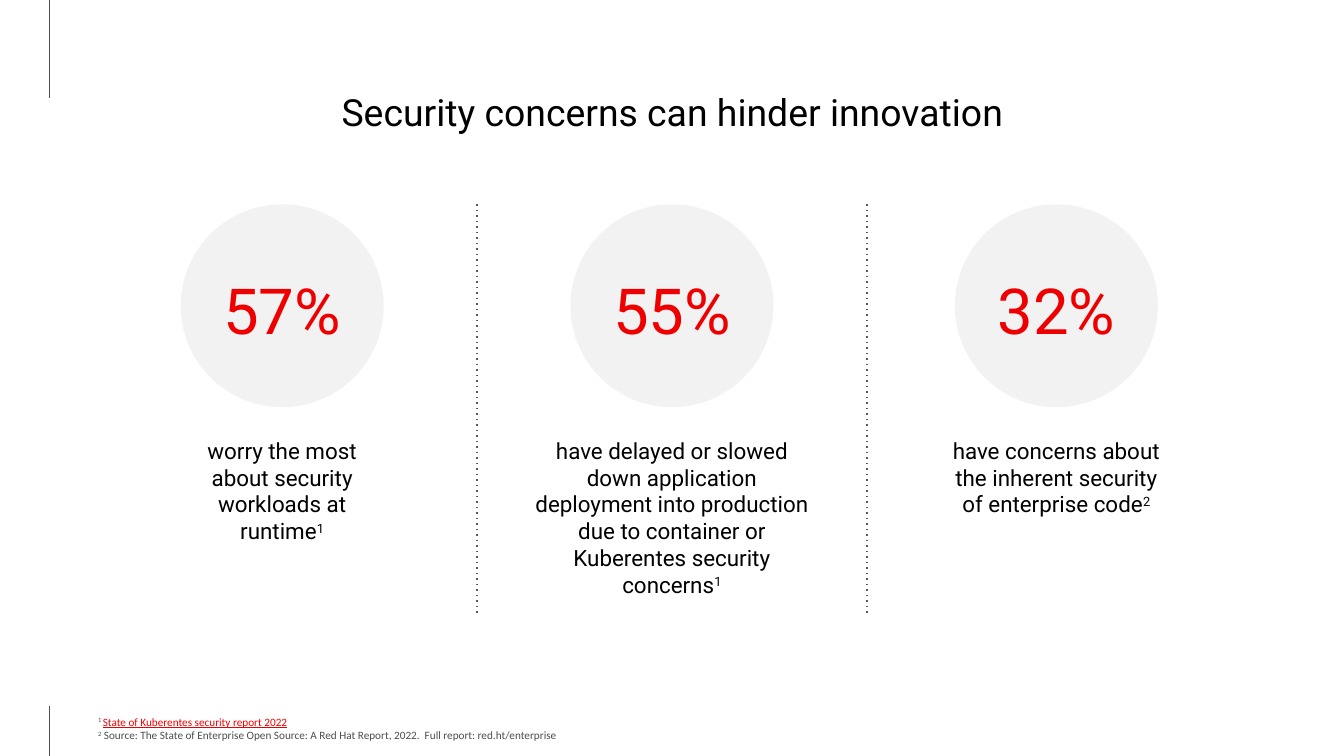
from dataclasses import dataclass

from lxml import etree
from pptx import Presentation
from pptx.dml.color import RGBColor
from pptx.enum.shapes import MSO_CONNECTOR as Connector, MSO_SHAPE as Shape
from pptx.enum.text import MSO_ANCHOR as Anchor, PP_ALIGN as Align
from pptx.oxml.ns import qn
from pptx.util import Inches, Pt


@dataclass(frozen=True)
class Theme:
    ink: RGBColor = RGBColor(0x00, 0x00, 0x00)
    accent: RGBColor = RGBColor(0xEE, 0x00, 0x00)
    disc: RGBColor = RGBColor(0xF2, 0xF2, 0xF2)
    divider: RGBColor = RGBColor(0x59, 0x59, 0x59)
    note: RGBColor = RGBColor(0x4D, 0x4D, 0x4F)
    font: str = "Roboto"
    note_font: str = "Calibri"
    title_size: int = 20
    figure_size: int = 34
    body_size: int = 12
    note_size: int = 6


THEME = Theme()
WIDTH = 10
HEIGHT = WIDTH * 9 / 16

# centre of the column, caption width, figure, caption, footnote number
STATS = [
    (2.1, 1.7, "57%", "worry the most about security workloads at runtime", "1"),
    (5.0, 2.2, "55%", "have delayed or slowed down application deployment into "
     "production due to container or Kuberentes security concerns", "1"),
    (7.86, 1.72, "32%", "have concerns about the inherent security of enterprise code", "2"),
]


def add_text_frame(slide, box, inset=0.0, anchor=Anchor.TOP):
    frame = slide.shapes.add_textbox(*map(Inches, box)).text_frame
    frame.word_wrap = True
    frame.vertical_anchor = anchor
    frame.margin_left = frame.margin_right = Inches(inset)
    frame.margin_top = frame.margin_bottom = Inches(inset)
    return frame


def style(paragraph, size, color, font=THEME.font, align=Align.CENTER):
    paragraph.alignment = align
    paragraph.font.size = Pt(size)
    paragraph.font.name = font
    paragraph.font.color.rgb = color


def add_run(paragraph, text, superscript=False):
    run = paragraph.add_run()
    run.text = text
    if superscript:
        run.font._element.set("baseline", "30000")
    return run


def add_vertical_line(slide, x, top, bottom, color, dotted=False):
    line = slide.shapes.add_connector(
        Connector.STRAIGHT, Inches(x), Inches(top), Inches(x), Inches(bottom))
    line.line.color.rgb = color
    line.line.width = Pt(0.75)
    if dotted:
        outline = line._element.spPr.find(qn("a:ln"))
        etree.SubElement(outline, qn("a:prstDash")).set("val", "dot")
    etree.SubElement(line._element.spPr, qn("a:effectLst"))


def add_margin_rules(slide, x):
    add_vertical_line(slide, x, 0, 0.73, THEME.note)
    add_vertical_line(slide, x, 5.25, HEIGHT, THEME.note)


def add_title(slide, box, text):
    heading = add_text_frame(slide, box).paragraphs[0]
    heading.line_spacing = 1.3
    style(heading, THEME.title_size, THEME.ink)
    add_run(heading, text)


def add_stat(slide, center, top, caption_width, figure, caption, note):
    diameter, figure_height = 1.51, 0.7
    left = center - diameter / 2

    # Disc with the percentage on it
    disc = slide.shapes.add_shape(
        Shape.OVAL, *map(Inches, (left, top, diameter, diameter)))
    disc.shadow.inherit = False
    disc.fill.solid()
    disc.fill.fore_color.rgb = THEME.disc
    disc.line.fill.background()

    figure_box = (left, top + 0.43, diameter, figure_height)
    percentage = add_text_frame(slide, figure_box, 0.07, Anchor.MIDDLE).paragraphs[0]
    style(percentage, THEME.figure_size, THEME.accent)
    add_run(percentage, figure)

    # Caption with its footnote mark
    caption_box = (center - caption_width / 2, top + 1.66, caption_width, 1.01)
    statement = add_text_frame(slide, caption_box, 0.07).paragraphs[0]
    style(statement, THEME.body_size, THEME.ink)
    add_run(statement, caption)
    add_run(statement, note, superscript=True)


def add_footnotes(slide, box):
    frame = add_text_frame(slide, box, anchor=Anchor.BOTTOM)
    report, survey = frame.paragraphs[0], frame.add_paragraph()
    for footnote in (report, survey):
        style(footnote, THEME.note_size, THEME.note, THEME.note_font, Align.LEFT)

    add_run(report, "1 ", superscript=True)
    report_title = add_run(report, "State of Kuberentes security report 2022")
    report_title.font.color.rgb = THEME.accent
    report_title.font.underline = True

    add_run(survey, "2", superscript=True)
    add_run(survey, " Source: The State of Enterprise Open Source: "
                    "A Red Hat Report, 2022.  Full report: red.ht/enterprise")


def main():
    deck = Presentation()
    deck.slide_width, deck.slide_height = Inches(WIDTH), Inches(HEIGHT)
    slide = deck.slides.add_slide(deck.slide_layouts[6])

    add_margin_rules(slide, 0.37)
    add_title(slide, (0.73, 0.56, 8.55, 0.45), "Security concerns can hinder innovation")
    for x in (3.55, 6.45):
        add_vertical_line(slide, x, 1.52, 4.56, THEME.divider, dotted=True)
    for center, caption_width, figure, caption, note in STATS:
        add_stat(slide, center, 1.52, caption_width, figure, caption, note)
    add_footnotes(slide, (0.73, 5.24, 5.97, 0.28))

    deck.save("out.pptx")


if __name__ == "__main__":
    main()
